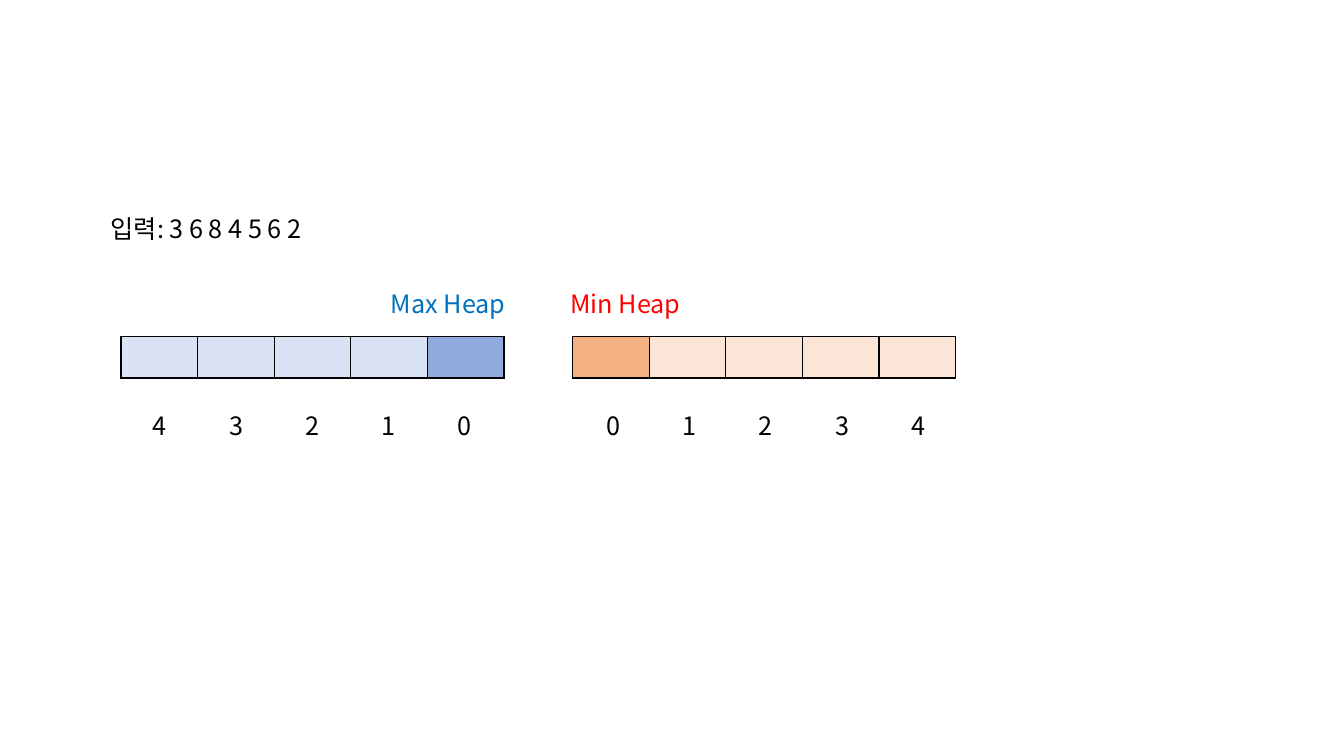
from dataclasses import dataclass

from lxml.etree import SubElement as Sub
from pptx import Presentation
from pptx.dml.color import RGBColor as Rgb
from pptx.enum.text import MSO_AUTO_SIZE as Fit
from pptx.oxml.ns import qn
from pptx.slide import Slide
from pptx.table import _Cell as Cell
from pptx.util import Pt

FONT = "Noto Sans CJK KR"
BLACK = "000000"
SLOTS = 5
SLOT_W, SLOT_H = 54.72, 29.5
SLOT_TOP = 240.5
NAME_TOP = 202.3
INDEX_TOP = 289.4
INDEX_STEP = 54.4
TEXT_H = 29


@dataclass
class Heap:
    """A heap drawn as a row of slots with its name and indices."""
    name: str
    color: str
    root: str
    rest: str
    left: float
    name_x: float
    name_w: float
    index_x: float
    order: list[int]


HEAPS = [
    Heap("Max Heap", "0070C0", "8FAADC", "DAE3F3", 86.4,
         272.2, 105, 102.2, list(reversed(range(SLOTS)))),
    Heap("Min Heap", "FF0000", "F4B183", "FBE5D6", 409,
         400.3, 200, 426.2, list(range(SLOTS))),
]


def paint(code: str) -> Rgb:
    """Turn a hex string into a colour."""
    return Rgb.from_string(code)


def write(slide: Slide, text: str, left: float, top: float, width: float,
          color: str = BLACK, wrap: bool = True) -> None:
    """Add a line of text."""
    frame = slide.shapes.add_textbox(
        Pt(left), Pt(top), Pt(width), Pt(TEXT_H)).text_frame
    frame.word_wrap = wrap
    frame.auto_size = Fit.SHAPE_TO_FIT_TEXT
    para = frame.paragraphs[0]
    para.text = text
    font = para.font
    font.size = Pt(18)
    font.name = FONT
    font.color.rgb = paint(color)
    Sub(font._element, qn("a:ea"), typeface=FONT)


def edge(cell: Cell) -> None:
    """Give a cell a thin black border on every side."""
    props = cell._tc.get_or_add_tcPr()
    for side in ("lnL", "lnR", "lnT", "lnB"):
        line = Sub(props, qn(f"a:{side}"), w=str(Pt(1)))
        fill = Sub(line, qn("a:solidFill"))
        Sub(fill, qn("a:srgbClr"), val=BLACK)


def draw(slide: Slide, heap: Heap) -> None:
    """Draw a heap with its name, slots and indices."""
    table = slide.shapes.add_table(
        1, SLOTS, Pt(heap.left), Pt(SLOT_TOP),
        Pt(SLOT_W * SLOTS), Pt(SLOT_H)).table
    table.first_row = table.horz_banding = False
    write(slide, heap.name, heap.name_x, NAME_TOP, heap.name_w, heap.color)
    for col, index in enumerate(heap.order):
        table.columns[col].width = Pt(SLOT_W)
        cell = table.cell(0, col)
        edge(cell)
        cell.fill.solid()
        cell.fill.fore_color.rgb = paint(heap.rest if index else heap.root)
        write(slide, str(index), heap.index_x + col * INDEX_STEP,
              INDEX_TOP, 24.5, wrap=False)


def main() -> None:
    """Build the slide and save it."""
    deck = Presentation()
    deck.slide_width, deck.slide_height = Pt(960), Pt(540)
    slide = deck.slides.add_slide(deck.slide_layouts[6])
    write(slide, "입력: 3 6 8 4 5 6 2", 72, 149, 200)
    for heap in HEAPS:
        draw(slide, heap)
    deck.save("out.pptx")


main()
